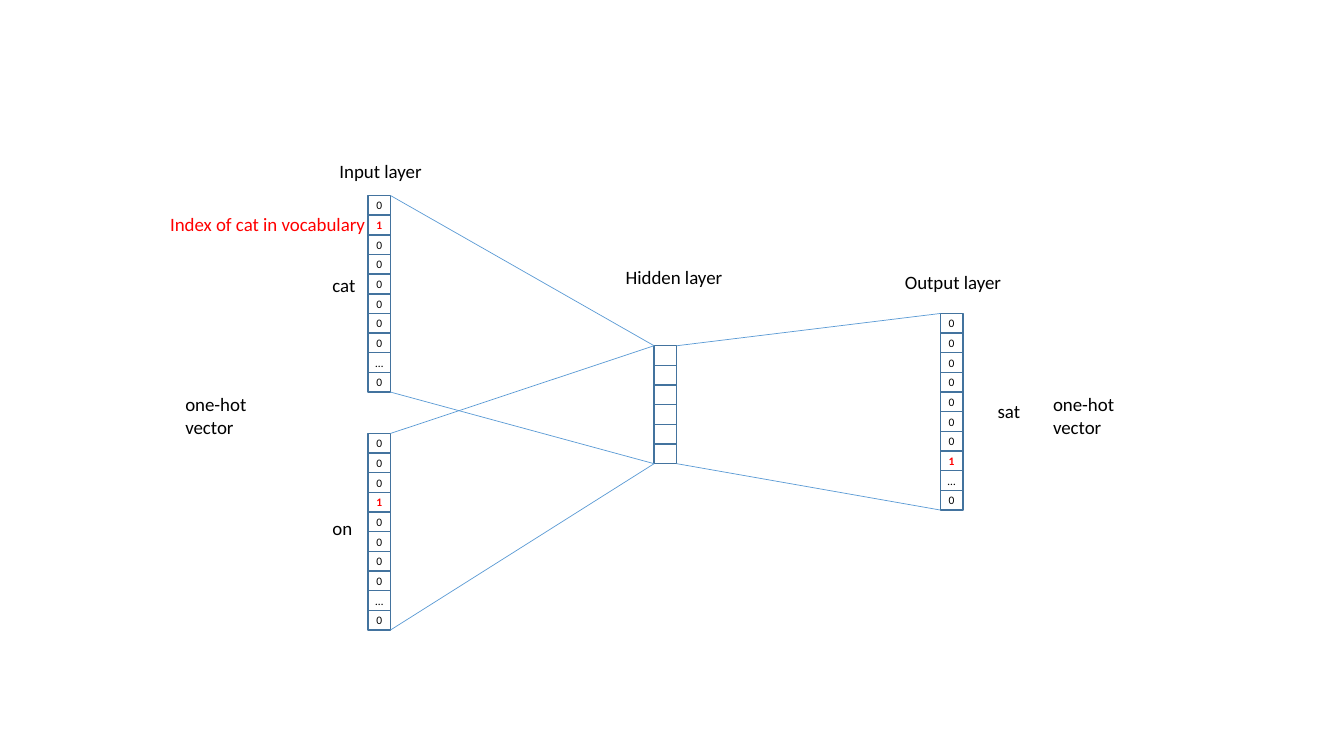
from pptx import Presentation
from pptx.dml.color import RGBColor
from pptx.enum.shapes import MSO_CONNECTOR as Connector, MSO_SHAPE as Shape
from pptx.enum.text import MSO_ANCHOR as Anchor, MSO_AUTO_SIZE as AutoSize, PP_ALIGN as Align
from pptx.oxml.ns import qn
from pptx.util import Emu, Pt
from lxml.etree import SubElement

BLACK = RGBColor(0x00, 0x00, 0x00)
RED = RGBColor(0xFF, 0x00, 0x00)
CELL_EDGE = RGBColor(0x43, 0x73, 0x9E)
LINK_BLUE = RGBColor(0x5B, 0x9B, 0xD5)


class NetworkSlide:
    """Draws layer columns, links and labels on one slide, with 200 px to the inch."""

    scale = 4572
    font = "Calibri"
    label_size = 13.5
    cell_size = 8.2
    cell_width = 45
    cell_height = 39

    def __init__(self, page):
        self.page = page

    def px(self, *lengths):
        return [Emu(length * self.scale) for length in lengths]

    def add_span(self, para, text, size, color, bold=False):
        span = para.add_run()
        span.text = text
        span.font.name = self.font
        span.font.size = Pt(size)
        span.font.bold = bold
        span.font.color.rgb = color

    def cell(self, group, left, top, value):
        box = group.shapes.add_shape(
            Shape.RECTANGLE, *self.px(left, top, self.cell_width, self.cell_height))
        box.shadow.inherit = False
        box.fill.background()
        box.line.color.rgb = CELL_EDGE
        box.line.width = Pt(1)
        if value:
            frame = box.text_frame
            frame.margin_left = frame.margin_right = frame.margin_top = frame.margin_bottom = 0
            frame.word_wrap = False
            frame.vertical_anchor = Anchor.MIDDLE
            para = frame.paragraphs[0]
            para.alignment = Align.CENTER
            hot = value == "1"
            self.add_span(para, value, self.cell_size, RED if hot else BLACK, hot)

    def column(self, left, top, values):
        group = self.page.shapes.add_group_shape()
        for row, value in enumerate(values):
            self.cell(group, left, top + row * self.cell_height, value)
        return left, left + self.cell_width, top, top + len(values) * self.cell_height

    def link(self, start, end):
        line = self.page.shapes.add_connector(Connector.STRAIGHT, *self.px(*start, *end))
        line.line.color.rgb = LINK_BLUE
        line.line.width = Pt(0.5)
        SubElement(line._element.spPr, qn("a:effectLst"))

    def join(self, source, target):
        for edge in (2, 3):
            self.link((source[1], source[edge]), (target[0], target[edge]))

    def label(self, left, top, width, lines, color=BLACK):
        height = 20 + 46 * len(lines)
        box = self.page.shapes.add_textbox(*self.px(left, top, width, height))
        frame = box.text_frame
        frame.word_wrap = False
        frame.auto_size = AutoSize.SHAPE_TO_FIT_TEXT
        for number, text in enumerate(lines):
            para = frame.add_paragraph() if number else frame.paragraphs[0]
            self.add_span(para, text, self.label_size, color)


def one_hot(index):
    return ["1" if row == index else "…" if row == 8 else "0" for row in range(10)]


def main():
    deck = Presentation()
    deck.slide_width, deck.slide_height = Emu(2667 * 4572), Emu(1500 * 4572)
    slide = NetworkSlide(deck.slides.add_slide(deck.slide_layouts[6]))

    cat = slide.column(730, 388, one_hot(1))
    on = slide.column(730, 860, one_hot(3))
    hidden = slide.column(1298, 686, [""] * 6)
    sat = slide.column(1866, 622, one_hot(7))

    for source, target in ((cat, hidden), (on, hidden), (hidden, sat)):
        slide.join(source, target)

    slide.label(654, 306, 206, ["Input layer"])
    slide.label(1222, 518, 236, ["Hidden layer"])
    slide.label(1776, 528, 234, ["Output layer"])
    slide.label(640, 534, 86, ["cat"])
    slide.label(640, 1016, 80, ["on"])
    slide.label(1960, 784, 86, ["sat"])
    for left in (348, 2070):
        slide.label(left, 770, 164, ["one-hot", "vector"])
    slide.label(318, 412, 434, ["Index of cat in vocabulary"], RED)

    deck.save("out.pptx")


if __name__ == "__main__":
    main()
